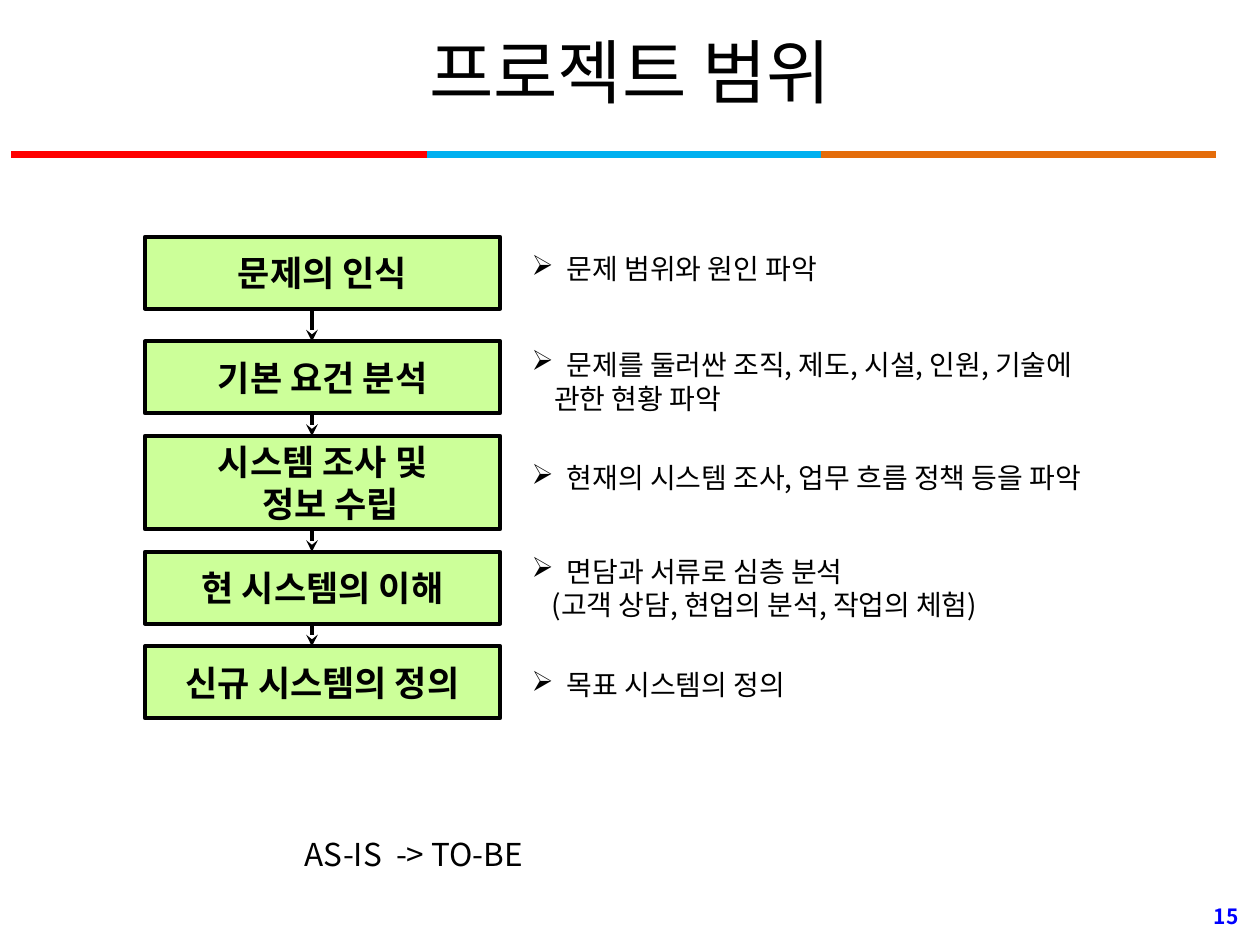
import dataclasses

import lxml.etree
import pptx
import pptx.dml.color
import pptx.enum.shapes
import pptx.enum.text
import pptx.oxml.ns
import pptx.util

ALIGN = pptx.enum.text.PP_ALIGN
ANCHOR = pptx.enum.text.MSO_ANCHOR
COLUMNS, ROWS = 100, 75
CELL = pptx.util.Inches(0.1)


@dataclasses.dataclass(frozen=True)
class Theme:
    font: str = "Noto Sans CJK KR"
    text: str = "000000"
    box_fill: str = "CCFF99"
    page_number: str = "0000FF"
    stripes: tuple = ("FF0000", "00B0F0", "E46C0A")
    title_size: int = 40
    step_size: int = 20
    caption_size: int = 18
    note_size: int = 16
    number_size: int = 12
    line: float = 2.25
    stripe_line: float = 4


@dataclasses.dataclass(frozen=True)
class Box:
    """An area in grid columns and rows."""
    left: float
    top: float
    width: float
    height: float

    def lengths(self):
        return [grid(value) for value in (self.left, self.top, self.width, self.height)]


@dataclasses.dataclass(frozen=True)
class Step:
    """A flow step; gap is the space above it, note_drop the note's offset from its top."""
    lines: tuple
    notes: tuple
    note_width: float
    note_drop: float
    gap: float = 1.8
    height: float = 5.7
    # left margin of the second line, in columns
    line_indent: float = 0
    note_indent: float = 0


THEME = Theme()
STEPS = (
    Step(("문제의 인식",), ("문제 범위와 원인 파악",), 27.5, 0.7, gap=0),
    Step(("기본 요건 분석",),
         ("문제를 둘러싼 조직, 제도, 시설, 인원, 기술에", "관한 현황 파악"),
         51, 0, gap=2.6, note_indent=1.8),
    Step(("시스템 조사 및", "정보 수립"),
         ("현재의 시스템 조사, 업무 흐름 정책 등을 파악",),
         51.4, 1.5, height=7.4, line_indent=1.3),
    Step(("현 시스템의 이해",),
         ("면담과 서류로 심층 분석", "(고객 상담, 현업의 분석, 작업의 체험)"),
         42.1, -0.3, note_indent=1.6),
    Step(("신규 시스템의 정의",), ("목표 시스템의 정의",), 24.5, 1.2),
)


def grid(count):
    return round(count * CELL)


def rgb(code):
    return pptx.dml.color.RGBColor.from_string(code)


def write(text_frame, lines, size, color=THEME.text, bold=False,
          align=ALIGN.LEFT, anchor=ANCHOR.TOP, wrap=True):
    text_frame.text = "\n".join(lines)
    text_frame.word_wrap = wrap
    text_frame.vertical_anchor = anchor
    for paragraph in text_frame.paragraphs:
        paragraph.alignment = align
        for run in paragraph.runs:
            run.font.name = THEME.font
            run.font.size = pptx.util.Pt(size)
            run.font.bold = bold
            run.font.color.rgb = rgb(color)
            east_asian = lxml.etree.SubElement(
                run.font._element, pptx.oxml.ns.qn("a:ea"))
            east_asian.set("typeface", THEME.font)


def indent(paragraph, margin, first_line=0, bullet=None):
    properties = paragraph._p.get_or_add_pPr()
    properties.set("marL", str(grid(margin)))
    properties.set("indent", str(grid(first_line)))
    if bullet:
        mark = lxml.etree.SubElement(properties, pptx.oxml.ns.qn("a:buChar"))
        mark.set("char", bullet)


def add_line(slide, start, end, color, width, arrow=False):
    points = [grid(value) for value in (*start, *end)]
    connector = slide.shapes.add_connector(
        pptx.enum.shapes.MSO_CONNECTOR.STRAIGHT, *points)
    connector.line.color.rgb = rgb(color)
    connector.line.width = pptx.util.Pt(width)
    if arrow:
        head = lxml.etree.SubElement(
            connector.line._get_or_add_ln(), pptx.oxml.ns.qn("a:tailEnd"))
        head.set("type", "stealth")
    lxml.etree.SubElement(connector._element.spPr, pptx.oxml.ns.qn("a:effectLst"))


def add_text(slide, box, lines, size, **style):
    text_frame = slide.shapes.add_textbox(*box.lengths()).text_frame
    write(text_frame, lines, size, **style)
    return text_frame


def add_title(slide, box, text):
    title = slide.shapes.title
    title.left, title.top, title.width, title.height = box.lengths()
    write(title.text_frame, [text], THEME.title_size,
          align=ALIGN.CENTER, anchor=ANCHOR.MIDDLE)


def add_stripes(slide, box):
    """Draw the three-colour rule; its first part is slightly longer."""
    part = (box.width - 1.7) / 3
    edges = [box.left] + [box.left + box.width - part * left for left in (2, 1, 0)]
    for color, start, end in zip(THEME.stripes, edges, edges[1:]):
        add_line(slide, (start, box.top), (end, box.top), color, THEME.stripe_line)


def add_step(slide, box, step):
    shape = slide.shapes.add_shape(
        pptx.enum.shapes.MSO_SHAPE.RECTANGLE, *box.lengths())
    shape.shadow.inherit = False
    shape.fill.solid()
    shape.fill.fore_color.rgb = rgb(THEME.box_fill)
    shape.line.color.rgb = rgb(THEME.text)
    shape.line.width = pptx.util.Pt(THEME.line)
    write(shape.text_frame, step.lines, THEME.step_size, bold=True,
          align=ALIGN.CENTER, anchor=ANCHOR.MIDDLE, wrap=False)
    for paragraph in shape.text_frame.paragraphs[1:]:
        indent(paragraph, step.line_indent)


def add_note(slide, box, step):
    text_frame = add_text(slide, box, step.notes, THEME.note_size)
    first, *others = text_frame.paragraphs
    indent(first, 2.8, -2.8, "➢")
    for paragraph in others:
        indent(paragraph, step.note_indent)


def add_flow(slide, box):
    """Stack the steps at the left of the box, with arrows between and notes beside."""
    step_width = box.width * 0.35
    arrow_column = box.left + step_width * 0.47
    bottom = box.top
    for index, step in enumerate(STEPS):
        top = bottom + step.gap
        if index:
            add_line(slide, (arrow_column, bottom), (arrow_column, top),
                     THEME.text, THEME.line, arrow=True)
        add_step(slide, Box(box.left, top, step_width, step.height), step)
        note_height = 1 + 2.7 * len(step.notes)
        add_note(slide, Box(box.left + step_width + 1.5, top + step.note_drop,
                            step.note_width, note_height), step)
        bottom = top + step.height


def main():
    presentation = pptx.Presentation()
    presentation.slide_width = grid(COLUMNS)
    presentation.slide_height = grid(ROWS)
    slide = presentation.slides.add_slide(presentation.slide_layouts[5])
    add_stripes(slide, Box(0.9, 12.3, 95.6, 0))
    add_title(slide, Box(5, 0.5, 90, 10.2), "프로젝트 범위")
    add_flow(slide, Box(11.5, 18.8, 80.6, 38.2))
    add_text(slide, Box(76, 70.7, 23.3, 4), ["15"], THEME.number_size,
             color=THEME.page_number, bold=True, align=ALIGN.RIGHT,
             anchor=ANCHOR.MIDDLE)
    add_text(slide, Box(23.2, 65.8, 23.1, 4), ["AS-IS  -> TO-BE"], THEME.caption_size)
    presentation.save("out.pptx")


if __name__ == "__main__":
    main()
